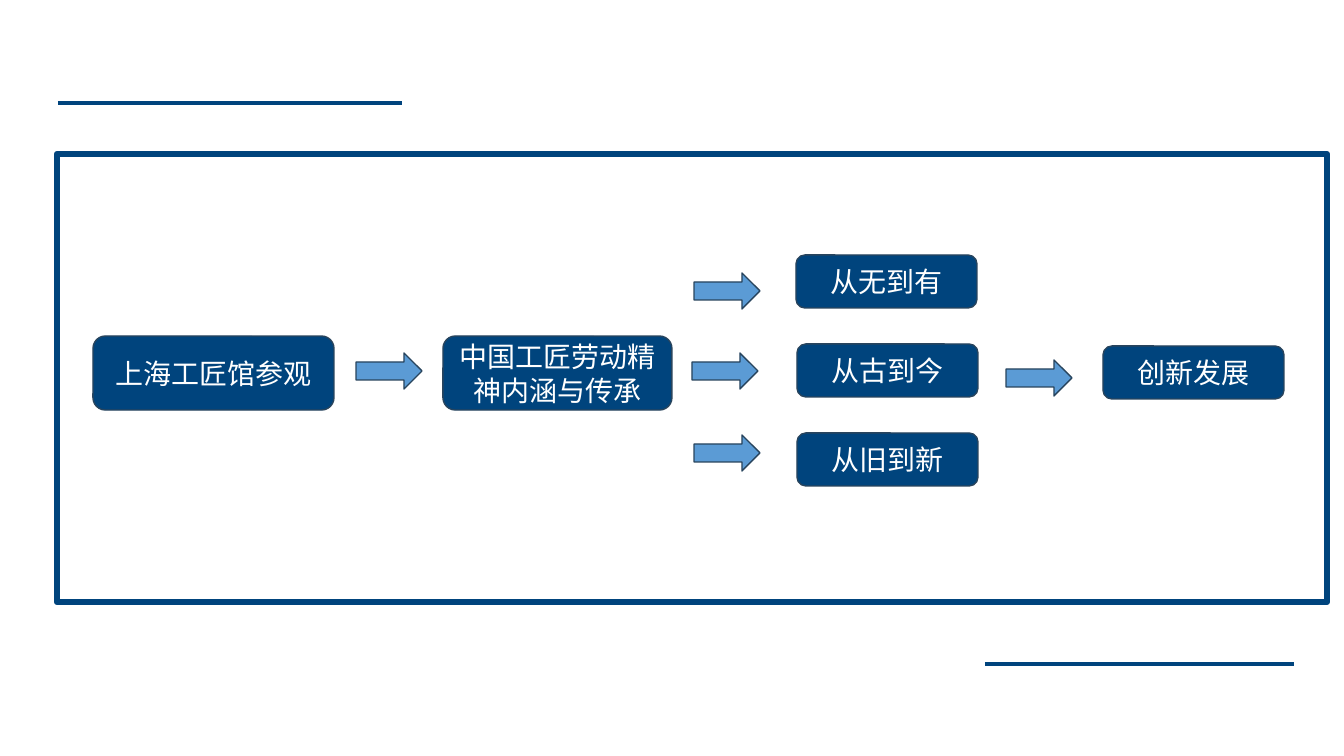
from dataclasses import dataclass

from lxml.etree import SubElement
from pptx import Presentation
from pptx.dml.color import RGBColor
from pptx.enum.shapes import MSO_CONNECTOR as Link, MSO_SHAPE as Kind
from pptx.enum.text import MSO_ANCHOR as Anchor, PP_ALIGN as Align
from pptx.oxml.ns import qn
from pptx.shapes.autoshape import Shape
from pptx.slide import Slide
from pptx.util import Emu, Pt

PX = 914400 / 100.8
FONT = "Noto Sans CJK SC"
COLORS = {"navy": "00447D", "edge": "28445D", "blue": "5B9BD5", "white": "FFFFFF"}


@dataclass
class Step:
    text: str
    x: int
    y: int
    w: int = 181
    h: int = 53


@dataclass
class Arrow:
    x: int
    y: int


@dataclass
class Rule:
    x: int
    y: int
    w: int


STEPS = [
    Step("上海工匠馆参观", 93, 336, 241, 74),
    Step("中国工匠劳动精神内涵与传承", 443, 336, 229, 74),
    Step("从无到有", 796, 255),
    Step("从古到今", 797, 344),
    Step("从旧到新", 797, 433),
    Step("创新发展", 1103, 346),
]
ARROWS = [
    Arrow(356, 353),
    Arrow(692, 353),
    Arrow(694, 435),
    Arrow(694, 273),
    Arrow(1006, 360),
]
RULES = [Rule(985, 664, 309), Rule(58, 103, 344)]


def px(n: int) -> Emu:
    return Emu(round(n * PX))


def color(name: str) -> RGBColor:
    return RGBColor.from_string(COLORS[name])


def add_box(slide: Slide, kind: Kind, x: int, y: int, w: int, h: int,
            fill: str | None, line: str, width: float) -> Shape:
    shape = slide.shapes.add_shape(kind, px(x), px(y), px(w), px(h))
    shape.shadow.inherit = False
    if fill:
        shape.fill.solid()
        shape.fill.fore_color.rgb = color(fill)
    else:
        shape.fill.background()
    shape.line.color.rgb = color(line)
    shape.line.width = Pt(width)
    return shape


def add_step(slide: Slide, step: Step) -> None:
    box = add_box(slide, Kind.FLOWCHART_ALTERNATE_PROCESS,
                  step.x, step.y, step.w, step.h, "navy", "edge", 1)
    frame = box.text_frame
    frame.text = step.text
    frame.word_wrap = True
    frame.vertical_anchor = Anchor.MIDDLE
    para = frame.paragraphs[0]
    para.alignment = Align.CENTER
    font = para.runs[0].font
    font.name = FONT
    font.size = Pt(20)
    font.color.rgb = color("white")
    props = para.runs[0]._r.get_or_add_rPr()
    SubElement(props, qn("a:ea"), typeface=FONT)


def add_rule(slide: Slide, rule: Rule) -> None:
    line = slide.shapes.add_connector(
        Link.STRAIGHT, px(rule.x), px(rule.y), px(rule.x + rule.w), px(rule.y))
    line.line.color.rgb = color("navy")
    line.line.width = Pt(3)
    SubElement(line._element.spPr, qn("a:effectLst"))


def main() -> None:
    deck = Presentation()
    deck.slide_width, deck.slide_height = px(1344), px(756)
    slide = deck.slides.add_slide(deck.slide_layouts[6])
    add_box(slide, Kind.RECTANGLE, 57, 154, 1270, 448, None, "navy", 4.5)
    for step in STEPS:
        add_step(slide, step)
    for arrow in ARROWS:
        add_box(slide, Kind.RIGHT_ARROW, arrow.x, arrow.y, 66, 36, "blue", "edge", 1)
    for rule in RULES:
        add_rule(slide, rule)
    deck.save("out.pptx")


if __name__ == "__main__":
    main()
